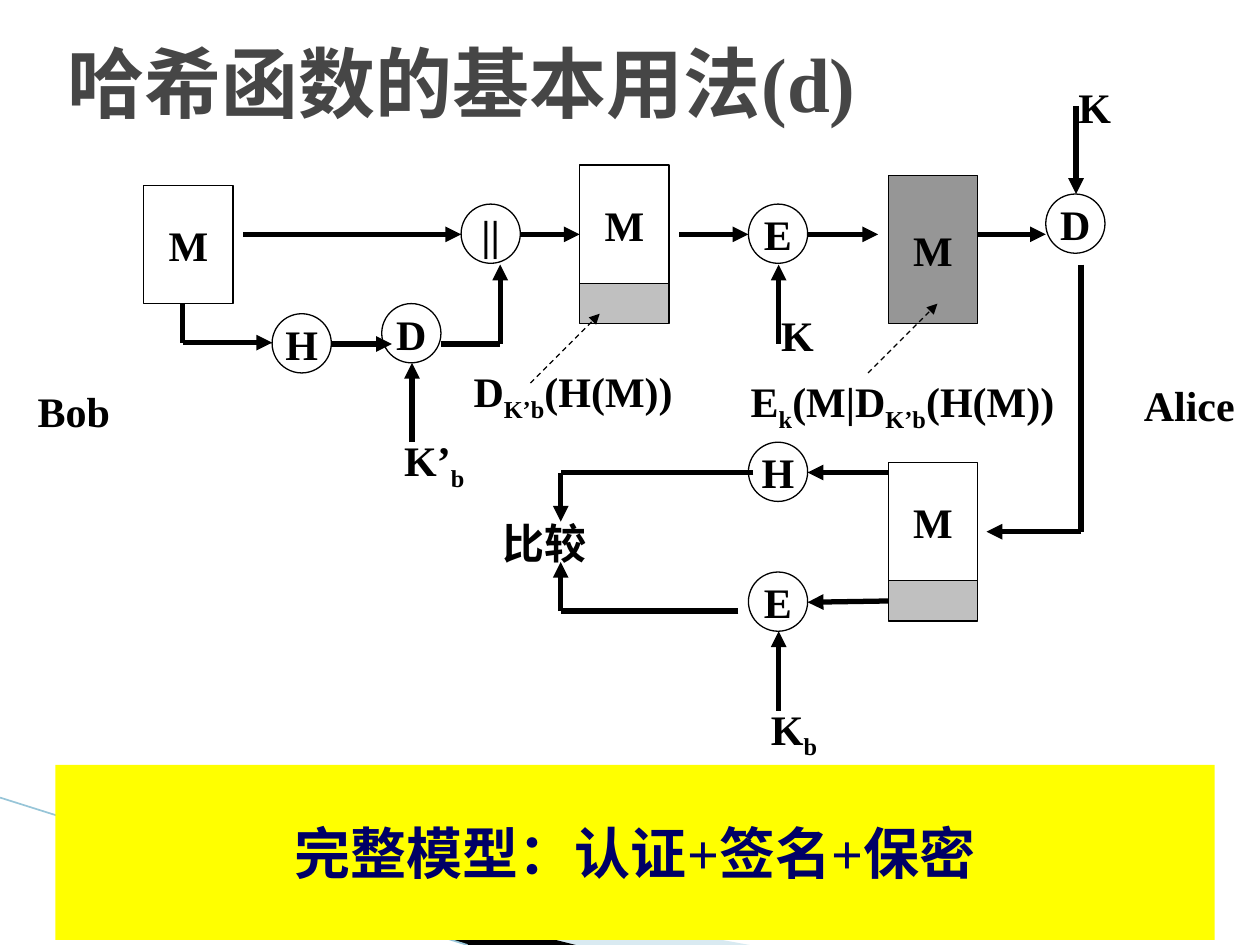
from itertools import pairwise

from pptx import Presentation
from pptx.dml.color import RGBColor
from pptx.enum.dml import MSO_LINE_DASH_STYLE as Dash
from pptx.enum.shapes import MSO_CONNECTOR as Connector, MSO_SHAPE as Shape
from pptx.enum.text import MSO_ANCHOR as Anchor, PP_ALIGN as Align
from pptx.oxml.ns import qn
from pptx.util import Inches, Pt
from lxml.etree import SubElement

COLORS = {
    "ink": "000000", "title": "464646", "white": "FFFFFF", "hash": "C0C0C0",
    "cipher": "969696", "band": "FFFF00", "summary": "000066",
    "swoosh": "A0CBDC", "edge": "97C5D8",
}
FONT = "Times New Roman"
BOX_WIDTH = 0.71
NODE_SIZE = 0.47


def color(name):
    return RGBColor.from_string(COLORS[name])


def add_run(para, text, size=24, ink="ink", subscript=False):
    span = para.add_run()
    span.text = text
    span.font.name = FONT
    span.font.size = Pt(size)
    span.font.bold = True
    span.font.color.rgb = color(ink)
    if subscript:
        span.font._element.set("baseline", "-25000")


def add_label(page, left, top, width, height, *parts, size=24, ink="ink"):
    """Add left-aligned text; every second part is a subscript."""
    box = page.shapes.add_textbox(Inches(left), Inches(top), Inches(width), Inches(height))
    frame = box.text_frame
    frame.word_wrap = True
    frame.vertical_anchor = Anchor.MIDDLE
    for index, part in enumerate(parts):
        add_run(frame.paragraphs[0], part, size, ink, subscript=index % 2 == 1)


def add_block(page, kind, left, top, width, height, fill, text="",
              size=24, ink="ink", outlined=True):
    block = page.shapes.add_shape(kind, Inches(left), Inches(top), Inches(width), Inches(height))
    block.shadow.inherit = False
    block.fill.solid()
    block.fill.fore_color.rgb = color(fill)
    if outlined:
        block.line.color.rgb = color("ink")
        block.line.width = Pt(0.75)
    else:
        block.line.fill.background()
    frame = block.text_frame
    frame.word_wrap = False
    frame.vertical_anchor = Anchor.MIDDLE
    para = frame.paragraphs[0]
    para.alignment = Align.CENTER
    if text:
        add_run(para, text, size, ink)
    return block


def add_node(page, left, top, text):
    add_block(page, Shape.OVAL, left, top, NODE_SIZE, NODE_SIZE, "white", text)


def add_signed_message(page, left, top):
    """Stack a message on its hash field and return the hash field."""
    add_block(page, Shape.RECTANGLE, left, top, BOX_WIDTH, 0.94, "white", "M")
    return add_block(page, Shape.RECTANGLE, left, top + 0.94, BOX_WIDTH, 0.32, "hash")


def add_line(page, start, end, ink="ink", width=3, dashed=False, arrow=False):
    line = page.shapes.add_connector(Connector.STRAIGHT, *map(Inches, start + end))
    line.line.color.rgb = color(ink)
    line.line.width = Pt(width)
    if dashed:
        line.line.dash_style = Dash.DASH
    if arrow:
        SubElement(line.line._get_or_add_ln(), qn("a:tailEnd"), type="triangle")
    SubElement(line._element.spPr, qn("a:effectLst"))
    return line


def add_route(page, *points):
    """Join the points with straight lines, ending in an arrowhead."""
    segments = list(pairwise(points))
    for start, end in segments[:-1]:
        add_line(page, start, end)
    return add_line(page, *segments[-1], arrow=True)


def add_swoosh(page, points, fill, alpha=None):
    first, *rest = [(Inches(x), Inches(y)) for x, y in points]
    builder = page.shapes.build_freeform(*first)
    builder.add_line_segments(rest, close=True)
    swoosh = builder.convert_to_shape()
    swoosh.shadow.inherit = False
    swoosh.line.fill.background()
    swoosh.fill.solid()
    swoosh.fill.fore_color.rgb = color(fill)
    if alpha:
        tone = swoosh._element.spPr.find(qn("a:solidFill"))[0]
        SubElement(tone, qn("a:alpha"), val=str(alpha * 1000))


def add_background(page):
    add_swoosh(page, [(0.55, 6.51), (5.95, 7.5), (4.56, 7.5)], "swoosh", alpha=40)
    add_swoosh(page, [(0.53, 6.49), (4.57, 7.5), (3.72, 7.5)], "ink")
    add_line(page, (0, 6.33), (3.71, 7.5), ink="edge", width=0.95)


def add_sender(page):
    add_block(page, Shape.RECTANGLE, 1.14, 1.47, BOX_WIDTH, 0.94, "white", "M")
    add_signed_message(page, 4.6, 1.31)
    add_block(page, Shape.RECTANGLE, 7.05, 1.39, BOX_WIDTH, 1.18, "cipher", "M")
    for left, top, text in [(3.66, 1.62, "||"), (2.16, 2.49, "H"),
                            (3.03, 2.41, "D"), (5.94, 1.62, "E")]:
        add_node(page, left, top, text)
    for start, end in [(1.93, 3.66), (4.13, 4.6), (5.39, 5.94), (6.41, 6.97), (7.75, 8.3)]:
        add_route(page, (start, 1.86), (end, 1.86))
    add_route(page, (1.45, 2.41), (1.45, 2.72), (2.16, 2.72))
    add_route(page, (2.63, 2.73), (3.11, 2.73))
    add_route(page, (3.5, 2.73), (3.97, 2.73), (3.97, 2.1))
    add_route(page, (3.27, 3.51), (3.27, 2.88))
    add_route(page, (6.18, 2.73), (6.18, 2.1))


def add_receiver(page):
    hash_field = add_signed_message(page, 7.05, 3.67)
    for left, top, text in [(8.3, 1.54, "D"), (5.94, 3.51, "H"), (5.94, 4.54, "E")]:
        add_node(page, left, top, text)
    add_route(page, (8.54, 0.84), (8.54, 1.54))
    add_route(page, (8.58, 2.1), (8.58, 4.22), (7.83, 4.22))
    add_route(page, (7.05, 3.75), (6.41, 3.75))
    add_route(page, (7.05, 4.78), (6.41, 4.78)).begin_connect(hash_field, 1)
    add_route(page, (5.98, 3.75), (4.45, 3.75), (4.45, 4.14))
    add_route(page, (5.86, 4.85), (4.45, 4.85), (4.45, 4.46))
    add_route(page, (6.18, 5.64), (6.18, 5.01))


def add_labels(page):
    for left, top, width, *parts in [
        (0.2, 3.01, 1.42, "Bob"),
        (8.98, 2.96, 1.02, "Alice"),
        (6.1, 2.41, 0.71, "K"),
        (8.46, 0.6, 0.71, "K"),
        (3.11, 3.43, 0.71, "K’", "b"),
        (6.02, 5.56, 0.71, "K", "b"),
        (3.89, 4.06, 0.94, "比较"),
        (3.66, 2.88, 2.12, "D", "K’b", "(H(M))"),
        (5.86, 2.96, 2.76, "E", "k", "(M|D", "K’b", "(H(M))"),
    ]:
        add_label(page, left, top, width, 0.5, *parts)
    for start, end in [((4.21, 3.04), (4.76, 2.49)), ((6.89, 2.96), (7.44, 2.41))]:
        add_line(page, start, end, width=0.75, dashed=True, arrow=True)


def main():
    deck = Presentation()
    deck.slide_width, deck.slide_height = Inches(10), Inches(7.5)
    page = deck.slides.add_slide(deck.slide_layouts[6])
    add_background(page)
    add_label(page, 0.44, 0.02, 9, 1.25, "哈希函数的基本用法(d)", size=44, ink="title")
    add_sender(page)
    add_receiver(page)
    add_labels(page)
    add_block(page, Shape.RECTANGLE, 0.44, 6.07, 9.2, 1.39, "band",
              "完整模型：认证+签名+保密", size=32, ink="summary", outlined=False)
    deck.save("out.pptx")


if __name__ == "__main__":
    main()
